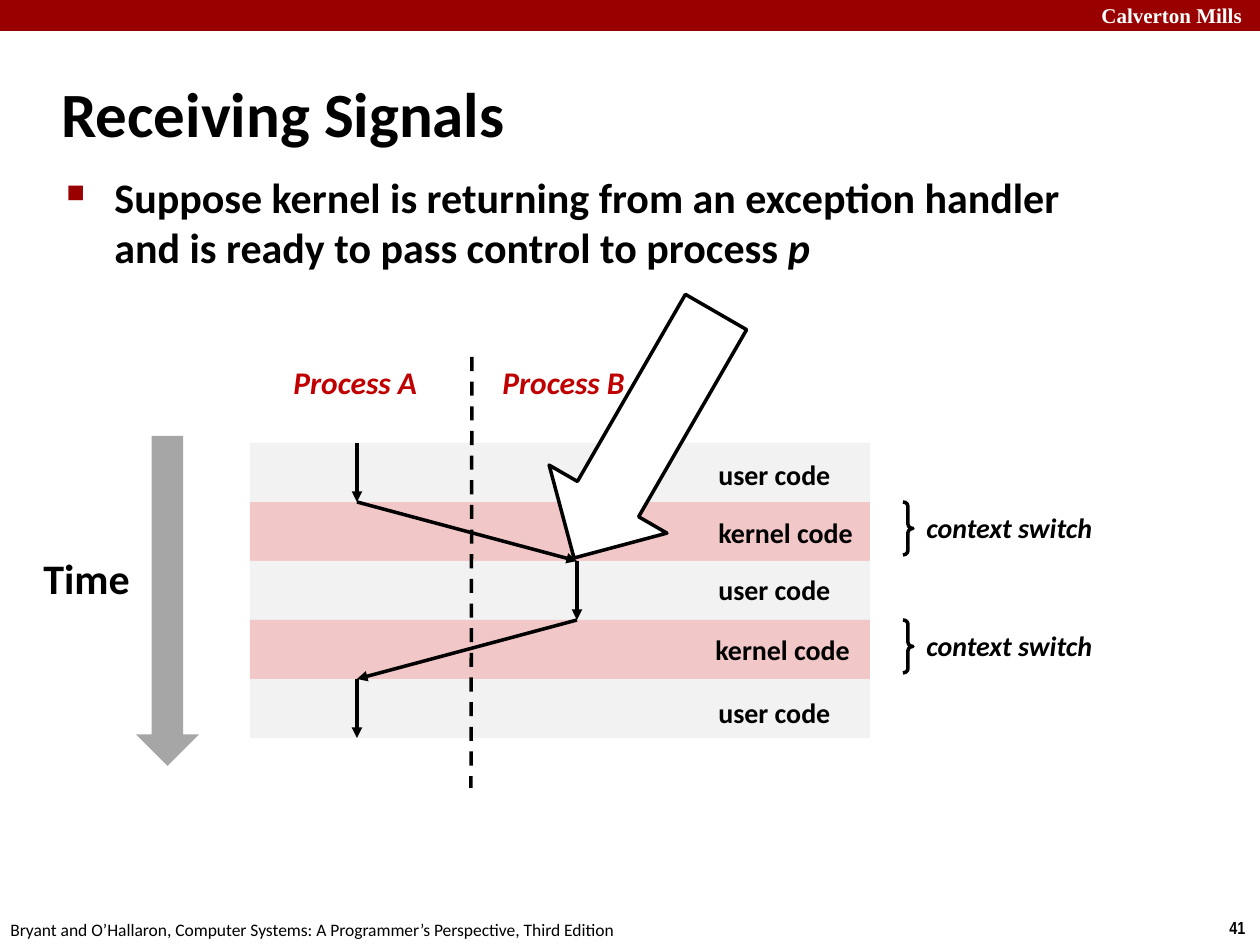
from lxml import etree
from pptx import Presentation
from pptx.dml.color import RGBColor
from pptx.enum.dml import MSO_LINE
from pptx.enum.shapes import MSO_CONNECTOR, MSO_SHAPE
from pptx.enum.text import MSO_ANCHOR
from pptx.oxml.ns import qn
from pptx.util import Emu, Pt

RECT = MSO_SHAPE.RECTANGLE
DOWN_ARROW = MSO_SHAPE.DOWN_ARROW
RIGHT_BRACE = MSO_SHAPE.RIGHT_BRACE
STRAIGHT = MSO_CONNECTOR.STRAIGHT
DASH = MSO_LINE.DASH
TOP = MSO_ANCHOR.TOP
MIDDLE = MSO_ANCHOR.MIDDLE

COLORS = {
    "bar": "990000",
    "process": "C00000",
    "kernel": "F1C7C7",
    "user": "F2F2F2",
    "time": "A6A6A6",
    "black": "000000",
    "white": "FFFFFF",
}


def px(n):
    return Emu(round(n * 914400 / 126))


def rgb(name):
    return RGBColor.from_string(COLORS[name])


def add_text(s, box, text, size=16, color="black", font="Calibri",
             bold=True, italic=False, wrap=False, anchor=TOP):
    sp = s.shapes.add_textbox(*map(px, box))
    tf = sp.text_frame
    tf.word_wrap = wrap
    tf.vertical_anchor = anchor
    p = tf.paragraphs[0]
    runs = [(text, italic)] if isinstance(text, str) else text
    for words, slanted in runs:
        r = p.add_run()
        r.text = words
        r.font.name = font
        r.font.size = Pt(size)
        r.font.bold = bold
        r.font.italic = slanted
        r.font.color.rgb = rgb(color)
    return p


def add_shape(s, kind, box, fill=None, line=None, adjust=()):
    sp = s.shapes.add_shape(kind, *map(px, box))
    sp.shadow.inherit = False
    if fill:
        sp.fill.solid()
        sp.fill.fore_color.rgb = rgb(fill)
    else:
        sp.fill.background()
    if line:
        sp.line.color.rgb = rgb(line)
        sp.line.width = Pt(2)
    else:
        sp.line.fill.background()
    for i, value in enumerate(adjust):
        sp.adjustments[i] = value
    return sp


def add_line(s, start, end, arrow=True):
    cx = s.shapes.add_connector(STRAIGHT, *map(px, start + end))
    cx.line.color.rgb = rgb("black")
    cx.line.width = Pt(2)
    if arrow:
        etree.SubElement(cx.line._get_or_add_ln(), qn("a:tailEnd"), type="triangle")
    else:
        cx.line.dash_style = DASH
    etree.SubElement(cx._element.spPr, qn("a:effectLst"))


def add_bullet(p, indent):
    pPr = p._p.get_or_add_pPr()
    pPr.set("marL", str(px(indent)))
    pPr.set("indent", str(-px(indent)))
    color = etree.SubElement(pPr, qn("a:buClr"))
    etree.SubElement(color, qn("a:srgbClr"), val=COLORS["bar"])
    etree.SubElement(pPr, qn("a:buSzPct"), val="60000")
    etree.SubElement(pPr, qn("a:buChar"), char="■")


def add_frame(s, x, y, w, h):
    add_shape(s, RECT, (x, y, w, 31), fill="bar")
    add_text(s, (x + w - 171, y - 4, 180, 38), "Calverton Mills", size=12,
             color="white", font="Times New Roman")
    add_text(s, (x + w - 43, y + h - 34, 43, 34), "41", size=10, font="Arial Narrow")
    add_text(s, (x - 2, y + h - 32, 640, 34),
             "Bryant and O’Hallaron, Computer Systems: "
             "A Programmer’s Perspective, Third Edition", size=10, bold=False)


def add_heading(s, x, y, w):
    add_text(s, (x, y, w, 105), "Receiving Signals", size=36, wrap=True, anchor=MIDDLE)
    p = add_text(s, (x + 5, y + 105, w + 43, 150),
                 [("Suppose kernel is returning from an exception handler "
                   "and is ready to pass control to process ", False), ("p", True)],
                 size=24, wrap=True)
    p.space_before = Pt(4.8)
    add_bullet(p, 48)


def add_time_axis(s, x, y, h):
    add_text(s, (x, y + 110, 112, 63), "Time", size=24)
    add_shape(s, DOWN_ARROW, (x + 105, y, 63, h), fill="time")


def add_context_switches(s, x, y, w, row):
    a, b = x + 107, x + 327
    label_tops = (8, 66, 123, 183, 246)
    for i, top in enumerate(label_tops):
        kind = "kernel" if i % 2 else "user"
        add_shape(s, RECT, (x, y + i * row, w, row), fill=kind)
        left = x + (453 if i == 3 else 456)
        add_text(s, (left, y + top, 161 if i % 2 else 139, 47), f"{kind} code")
    for name, left in (("A", 31), ("B", 240)):
        add_text(s, (x + left, y - 86, 151, 50), f"Process {name}", size=18,
                 color="process", italic=True)
    for i in (1, 3):
        top = y + i * row
        add_shape(s, RIGHT_BRACE, (x + w + 33, top, 10, 53), line="black",
                  adjust=(0.42, 0.5))
        add_text(s, (x + w + 44, top + 2, 194, 47), "context switch", italic=True)
    add_line(s, (x + 222, y - 86), (x + 221, y + 5 * row + 50), arrow=False)
    stops = (a, a, b, b, a, a)
    for i in range(5):
        add_line(s, (stops[i], y + i * row), (stops[i + 1], y + (i + 1) * row))
    pointer = add_shape(s, DOWN_ARROW, (x + 327, y - 150, 136, 284), fill="white",
                        line="black", adjust=(0.52, 0.5))
    pointer.rotation = 30


def main():
    prs = Presentation()
    prs.slide_width, prs.slide_height = px(1260), px(945)
    s = prs.slides.add_slide(prs.slide_layouts[6])
    add_frame(s, 0, 0, 1260, 945)
    add_heading(s, 49, 60, 1046)
    add_time_axis(s, 31, 436, 330)
    add_context_switches(s, 250, 443, 620, 59)
    prs.save("out.pptx")


if __name__ == "__main__":
    main()
